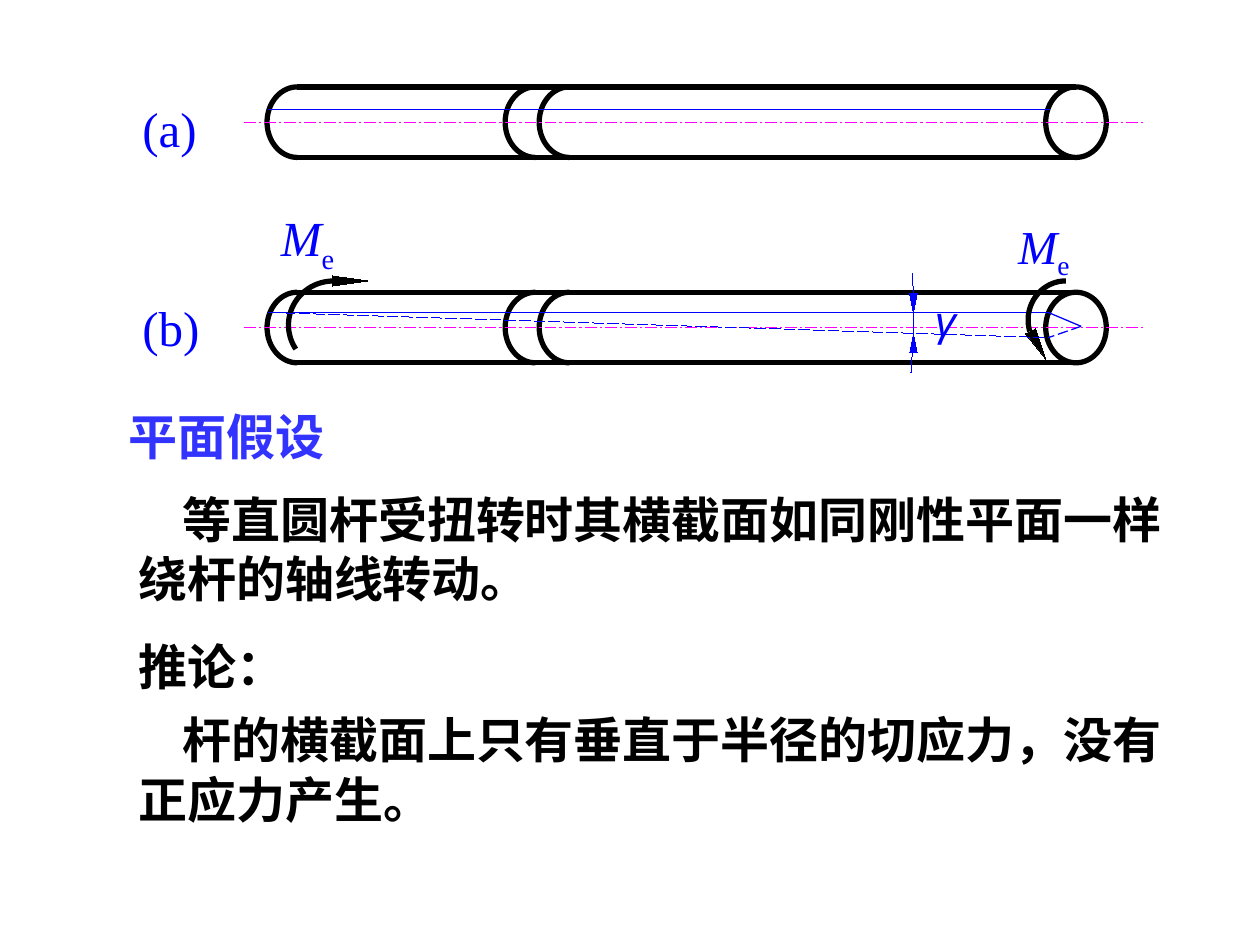
from math import cos, radians, sin

from lxml import etree
from pptx import Presentation
from pptx.dml.color import RGBColor
from pptx.enum.dml import MSO_LINE
from pptx.enum.shapes import MSO_CONNECTOR
from pptx.enum.text import MSO_ANCHOR, MSO_AUTO_SIZE, PP_ALIGN
from pptx.oxml.ns import qn
from pptx.util import Inches, Pt

STRAIGHT = MSO_CONNECTOR.STRAIGHT
DASH = MSO_LINE.LONG_DASH
DASH_DOT = MSO_LINE.LONG_DASH_DOT
TOP = MSO_ANCHOR.TOP
LEFT = PP_ALIGN.LEFT
FIT_SHAPE = MSO_AUTO_SIZE.SHAPE_TO_FIT_TEXT

BLACK = RGBColor(0, 0, 0)
BLUE = RGBColor(0, 0, 255)
HEADING_BLUE = RGBColor(0x33, 0x33, 0xFF)
MAGENTA = RGBColor(255, 0, 255)

CHINESE_FONT = "Noto Sans CJK SC"
LATIN_FONT = "Times New Roman"
SLIDE_WIDTH, SLIDE_HEIGHT = Inches(10), Inches(7.5)
COLUMN, ROW = SLIDE_WIDTH / 100, SLIDE_HEIGHT / 75
HAIRLINE, THIN, THICK = 0, 0.75, 3
END_RADIUS, SHAFT_HEIGHT = 2.4, 5.6
SHAFT_LENGTH = 61.8


def place(box, x, y):
    """Turn grid units relative to a box into slide lengths."""
    return round((box[0] + x) * COLUMN), round((box[1] + y) * ROW)


def style_line(shape, color, width, dash=None):
    """Give a shape or connector its line, writing even a zero width out."""
    shape.line.color.rgb = color
    shape._element.spPr.find(qn("a:ln")).set("w", str(Pt(width)))
    if dash:
        shape.line.dash_style = dash


def add_line(slide, box, start, end, color, width, dash=None):
    """Draw a straight line between two points of a box."""
    line = slide.shapes.add_connector(STRAIGHT, *place(box, *start), *place(box, *end))
    style_line(line, color, width, dash)
    etree.SubElement(line._element.spPr, qn("a:effectLst"))


def add_outline(slide, box, points, color, width, filled=False):
    """Draw an open curve or a filled arrowhead through points of a box."""
    first, *others = [place(box, *point) for point in points]
    builder = slide.shapes.build_freeform(*first)
    builder.add_line_segments(others, close=filled)
    shape = builder.convert_to_shape()
    shape.shadow.inherit = False
    if filled:
        shape.fill.solid()
        shape.fill.fore_color.rgb = color
    else:
        shape.fill.background()
    style_line(shape, color, width)


def arc_points(center, radii, start, end, steps=40):
    """List points on an elliptic arc, with angles clockwise from the right."""
    angles = [radians(start + (end - start) * step / steps) for step in range(steps + 1)]
    return [(center[0] + radii[0] * cos(angle), center[1] + radii[1] * sin(angle))
            for angle in angles]


def add_run(paragraph, text, font_name, size, color, bold=False, italic=False):
    """Add one formatted run."""
    run = paragraph.add_run()
    run.text = text
    font = run.font
    font.name, font.size, font.color.rgb = font_name, Pt(size), color
    font.bold, font.italic = bold, italic
    if font_name == CHINESE_FONT:
        etree.SubElement(run._r.get_or_add_rPr(), qn("a:ea")).set("typeface", font_name)
    return run


def add_label(slide, box, position, size, text, points, font=LATIN_FONT, italic=False,
              subscript=None, rotation=0):
    """Add a blue label of the drawing, with an optional subscript."""
    label = slide.shapes.add_textbox(*place(box, *position), *place((0, 0), *size))
    label.rotation = rotation
    frame = label.text_frame
    frame.word_wrap = False
    frame.margin_left = frame.margin_right = frame.margin_top = frame.margin_bottom = 0
    paragraph = frame.paragraphs[0]
    add_run(paragraph, text, font, points, BLUE, italic=italic)
    if subscript:
        run = add_run(paragraph, subscript, font, points, BLUE)
        run._r.get_or_add_rPr().set("baseline", "-25000")


def add_shaft(slide, box, name, name_top, fibre_top):
    """Draw a round shaft with two section rings, its axis and a fibre line."""
    middle = SHAFT_HEIGHT / 2
    far_end = END_RADIUS + SHAFT_LENGTH
    add_label(slide, box, (-9.9, name_top), (5.5, 4.7), name, 28)
    for edge in (0, SHAFT_HEIGHT):
        add_line(slide, box, (END_RADIUS, edge), (far_end, edge), BLACK, THICK)
    for center in (END_RADIUS, 21.3, 24, far_end):
        points = arc_points((center, middle), (END_RADIUS, middle), 270, 90)
        add_outline(slide, box, points, BLACK, THICK)
    right_half = arc_points((far_end, middle), (END_RADIUS, middle), -90, 90)
    add_outline(slide, box, right_half, BLACK, THICK)
    add_line(slide, box, (-1.8, middle), (69.6, middle), MAGENTA, HAIRLINE, DASH_DOT)
    add_line(slide, box, (0.1, fibre_top), (62.1, fibre_top), BLUE, HAIRLINE)


def add_torques(slide, box):
    """Draw the turning moments at both ends of the shaft."""
    left_arc = arc_points((5.3, 2.6), (3.6, 3.5), 270, 147)
    right_arc = arc_points((63.4, 2.2), (3, 3.1), 270, 163)
    left_head = [(5.2, -0.5), (5.2, -1.3), (8, -0.9)]
    right_head = [(61, 2.9), (60.2, 3.3), (61.8, 5.3)]
    for arc, head in ((left_arc, left_head), (right_arc, right_head)):
        add_outline(slide, box, arc, BLACK, THICK)
        add_outline(slide, box, head, BLACK, HAIRLINE, filled=True)
    for position, points in (((1.1, -6.7), 28), ((59.6, -6), 27)):
        add_label(slide, box, position, (5.2, 5.2), "M", points, italic=True, subscript="e")


def add_shear_angle(slide, box):
    """Draw the twisted fibre and the dimension of the shear angle."""
    fibre_end, twisted_end, center = (62, 1.6), (62, 3.6), (64.6, 2.7)
    add_line(slide, box, fibre_end, center, BLUE, THIN)
    add_line(slide, box, (0.2, 1.6), twisted_end, BLUE, HAIRLINE, DASH)
    add_line(slide, box, center, twisted_end, BLUE, THIN, DASH)
    for start, end in (((51.2, -1.5), (51.3, 0.1)), ((51.3, 1.6), (51.3, 3.3)),
                       ((51.2, 4.8), (51.1, 6.4))):
        add_line(slide, box, start, end, BLUE, HAIRLINE)
    for base, tip in ((0.1, 1.6), (4.8, 3.3)):
        head = [(51, base), (51.6, base), (51.3, tip)]
        add_outline(slide, box, head, BLUE, HAIRLINE, filled=True)
    add_label(slide, box, (53, 0.2), (4, 4), "γ", 24, "Arial", italic=True, rotation=1)


def fill_statement(shape, box, text, color, indent=0):
    """Place a text shape in its box and write one bold Chinese paragraph."""
    shape.left, shape.top = place(box, 0, 0)
    shape.width, shape.height = place((0, 0), box[2], box[3])
    frame = shape.text_frame
    frame.word_wrap = True
    frame.auto_size = FIT_SHAPE
    frame.vertical_anchor = TOP
    paragraph = frame.paragraphs[0]
    paragraph.alignment = LEFT
    paragraph.line_spacing = Pt(34)
    paragraph._p.get_or_add_pPr().set("indent", str(round(indent * COLUMN)))
    add_run(paragraph, text, CHINESE_FONT, 28, color, bold=True)


def add_statements(slide):
    """Write the heading, the plane section assumption and its corollary."""
    fill_statement(slide.shapes.title, (9.2, 31.7, 19.2, 5.7), "平面假设", HEADING_BLUE)
    statements = (
        ((10, 38.3, 86.7, 10.4), "等直圆杆受扭转时其横截面如同刚性平面一样绕杆的轴线转动。", 3.5),
        ((10, 50, 33.3, 5.7), "推论：", 0),
        ((10, 55.8, 85.8, 10.4), "杆的横截面上只有垂直于半径的切应力，没有正应力产生。", 3.5),
    )
    for box, text, indent in statements:
        shape = slide.shapes.add_textbox(0, 0, 0, 0)
        fill_statement(shape, box, text, BLACK, indent)


def main():
    """Build the slide and save it."""
    presentation = Presentation()
    presentation.slide_width, presentation.slide_height = SLIDE_WIDTH, SLIDE_HEIGHT
    slide = presentation.slides.add_slide(presentation.slide_layouts[5])
    plain_shaft, twisted_shaft = (21.2, 6.9), (21.2, 23.2)
    add_shaft(slide, plain_shaft, "(a)", 0.9, 1.8)
    add_shaft(slide, twisted_shaft, "(b)", 0.4, 1.6)
    add_torques(slide, twisted_shaft)
    add_shear_angle(slide, twisted_shaft)
    add_statements(slide)
    presentation.save("out.pptx")


if __name__ == "__main__":
    main()
